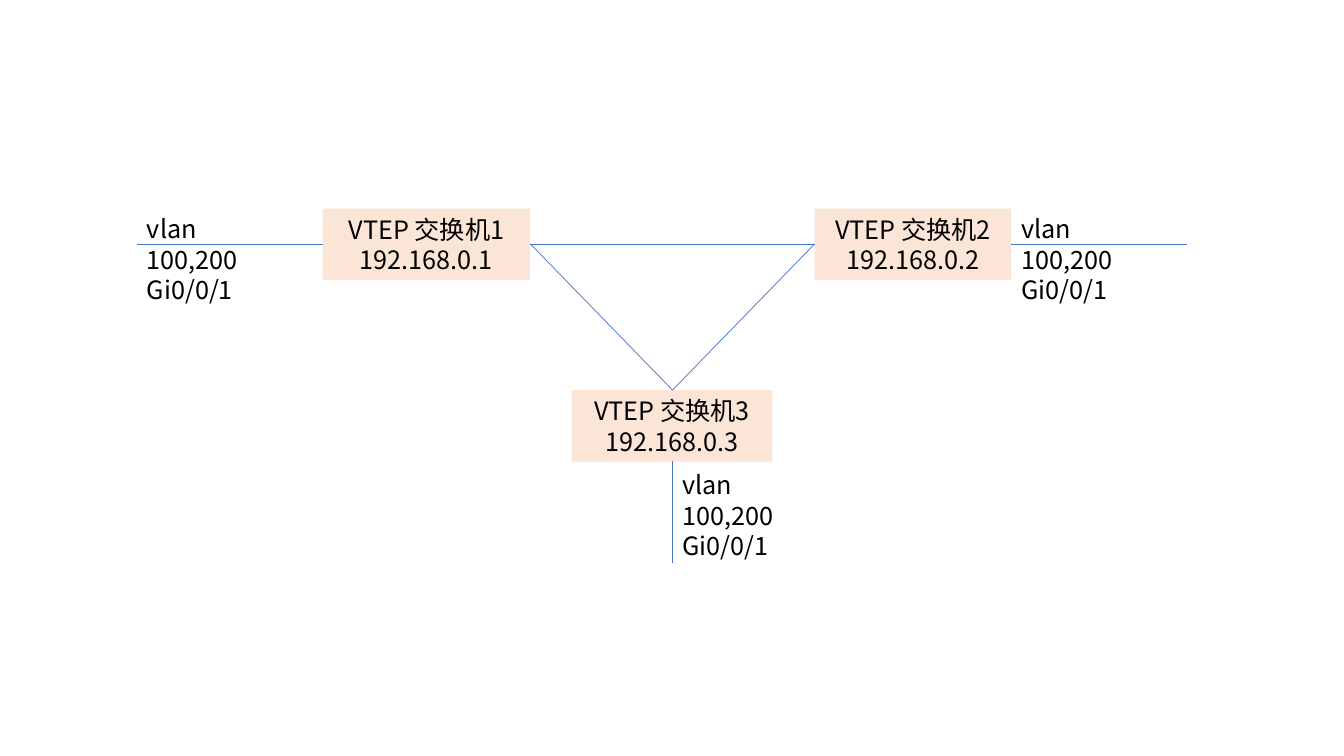
from dataclasses import dataclass
from lxml import etree
from pptx import Presentation
from pptx.dml.color import RGBColor as RGB
from pptx.enum.shapes import MSO_CONNECTOR as CONN, MSO_SHAPE as SHAPE
from pptx.enum.text import MSO_ANCHOR as ANCHOR, PP_ALIGN as ALIGN
from pptx.oxml.ns import qn
from pptx.util import Inches, Pt


@dataclass(frozen=True)
class Theme:
    font: str = "Noto Sans CJK SC"
    size: Pt = Pt(18)
    text: RGB = RGB(0, 0, 0)
    box: RGB = RGB(0xFB, 0xE5, 0xD6)
    link: RGB = RGB(0x44, 0x72, 0xC4)
    link_width: Pt = Pt(0.5)


theme = Theme()


def write(tf, lines, align):
    for i, line in enumerate(lines):
        p = tf.paragraphs[0] if i == 0 else tf.add_paragraph()
        p.text, p.alignment = line, align
        f = p.font
        f.name, f.size = theme.font, theme.size
        f.color.rgb = theme.text
        # East Asian typeface for the Chinese characters
        ea = etree.SubElement(p._p.pPr.find(qn("a:defRPr")), qn("a:ea"))
        ea.set("typeface", theme.font)


prs = Presentation()
prs.slide_width, prs.slide_height = Inches(13.33), Inches(7.5)
s = prs.slides.add_slide(prs.slide_layouts[6])

# Layout: two switches on the upper row, the third below
top, box_h = 2.07, 0.71
mid = 2.42
left1, right1 = 3.2, 5.26
left2, right2 = 8.08, 10.03
center3, top3, bottom3 = 6.67, 3.87, 4.57
port1, port2, port3 = 1.36, 11.77, 5.59

# VTEP switches
switches = [(left1, top, right1 - left1), (left2, top, right2 - left2),
            (5.67, top3, 1.99)]
for n, (x, y, w) in enumerate(switches, 1):
    sp = s.shapes.add_shape(SHAPE.RECTANGLE, Inches(x), Inches(y),
                            Inches(w), Inches(box_h))
    sp.shadow.inherit = False
    sp.fill.solid()
    sp.fill.fore_color.rgb = theme.box
    sp.line.fill.background()
    tf = sp.text_frame
    tf.word_wrap, tf.vertical_anchor = True, ANCHOR.MIDDLE
    write(tf, [f"VTEP 交换机{n}", f"192.168.0.{n}"], ALIGN.CENTER)

# Links between the switches, then the access links
links = [
    (right1, mid, left2, mid),
    (right1, mid, center3, top3),
    (left2, mid, center3, top3),
    (port1, mid, left1, mid),
    (center3, port3, center3, bottom3),
    (port2, mid, right2, mid),
]
for ends in links:
    link = s.shapes.add_connector(CONN.STRAIGHT, *map(Inches, ends))
    link.line.color.rgb, link.line.width = theme.link, theme.link_width
    etree.SubElement(link._element.spPr, qn("a:effectLst"))

# Port labels
for x, y in [(port1, top), (right2, top), (center3, 4.61)]:
    tf = s.shapes.add_textbox(Inches(x), Inches(y),
                              Inches(1.56), Inches(box_h)).text_frame
    tf.word_wrap = True
    write(tf, ["vlan 100,200", "Gi0/0/1"], ALIGN.LEFT)

prs.save("out.pptx")
